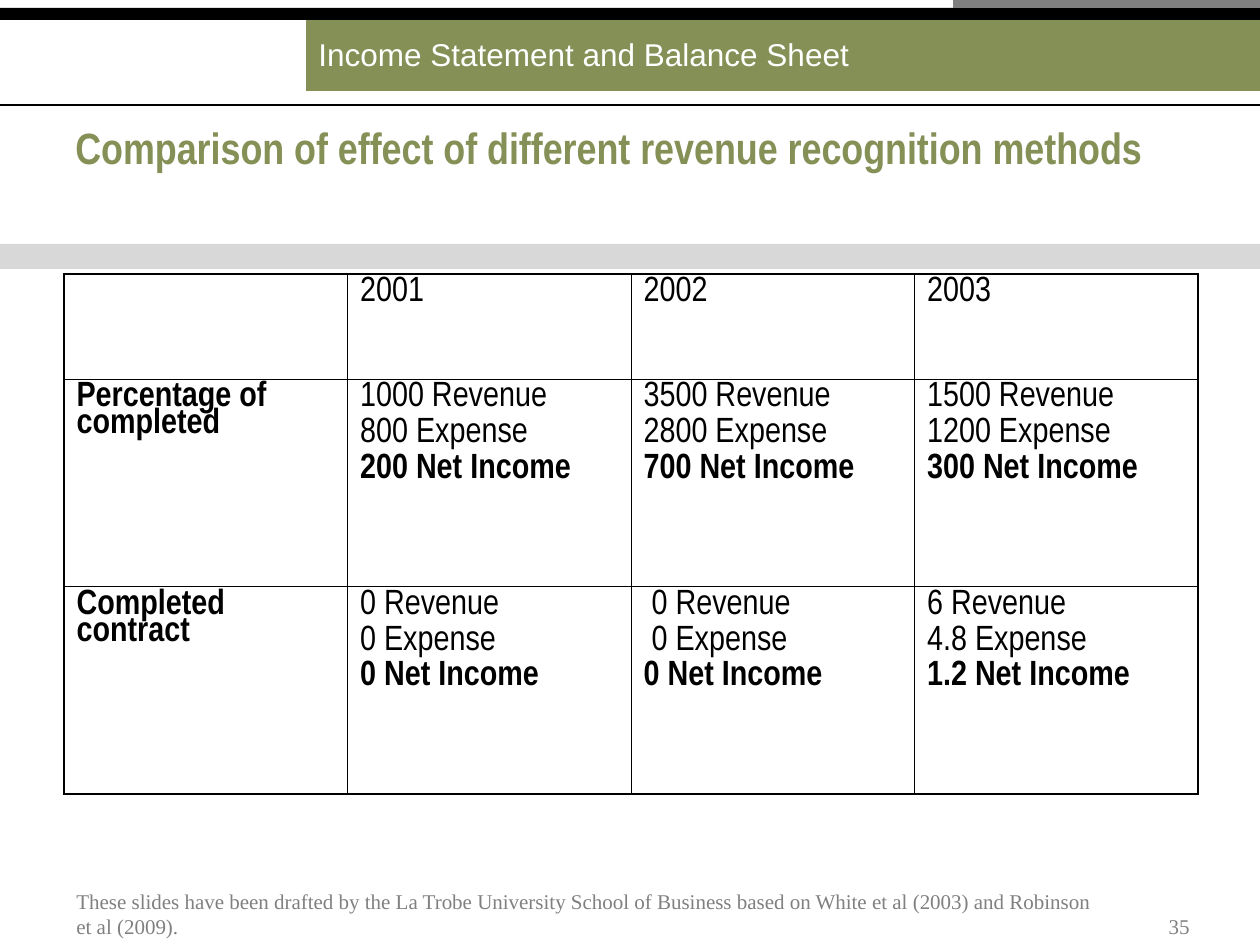
from dataclasses import dataclass

from lxml import etree
from pptx import Presentation
from pptx import util as u
from pptx.dml.color import RGBColor
from pptx.enum import shapes, text
from pptx.oxml import ns


@dataclass(frozen=True)
class Theme:
    olive: str = "849056"
    grey: str = "808080"
    black: str = "000000"
    white: str = "FFFFFF"
    sans: str = "Arial"
    narrow: str = "Arial Narrow"
    serif: str = "Times New Roman"
    title: int = 25
    table: int = 20
    section: int = 18
    footer: int = 12
    outer: float = 1.08
    inner: float = 0.45


THEME = Theme()
YEARS = ["2001", "2002", "2003"]
METHODS = [
    ("Percentage of completed", [
        ["1000 Revenue", "800 Expense", "200 Net Income"],
        ["3500 Revenue", "2800 Expense", "700 Net Income"],
        ["1500 Revenue", "1200 Expense", "300 Net Income"],
    ]),
    ("Completed contract", [
        ["0 Revenue", "0 Expense", "0 Net Income"],
        [" 0 Revenue", " 0 Expense", "0 Net Income"],
        ["6 Revenue", "4.8 Expense", "1.2 Net Income"],
    ]),
]


def px(value):
    return u.Emu(round(value * 914400 / 126))


def write(frame, lines, *, font, size, color, bold=(), align=None,
          anchor=text.MSO_ANCHOR.TOP, wrap=True, spacing=None, gap=0):
    frame.word_wrap = wrap
    frame.vertical_anchor = anchor
    for index, line in enumerate(lines):
        paragraph = frame.paragraphs[0] if index == 0 else frame.add_paragraph()
        paragraph.alignment = align
        paragraph.line_spacing = spacing
        if index:
            paragraph.space_before = u.Pt(gap)
        run = paragraph.add_run()
        run.text = line
        run.font.name = font
        run.font.size = u.Pt(size)
        run.font.bold = index in bold
        run.font.color.rgb = RGBColor.from_string(color)


def add_band(slide, box, color, opacity=100):
    band = slide.shapes.add_shape(shapes.MSO_SHAPE.RECTANGLE, *map(px, box))
    band.shadow.inherit = False
    band.line.fill.background()
    band.fill.solid()
    band.fill.fore_color.rgb = RGBColor.from_string(color)
    if opacity < 100:
        rgb = band.fill._xPr.find(".//" + ns.qn("a:srgbClr"))
        etree.SubElement(rgb, ns.qn("a:alpha"), val=str(opacity * 1000))
    return band


def add_rule(slide, start, end, y, color, weight):
    rule = slide.shapes.add_connector(
        shapes.MSO_CONNECTOR.STRAIGHT, px(start), px(y), px(end), px(y))
    rule.line.color.rgb = RGBColor.from_string(color)
    rule.line.width = u.Pt(weight)
    etree.SubElement(rule._element.spPr, ns.qn("a:effectLst"))


def add_text(slide, box, line, **style):
    frame = slide.shapes.add_textbox(*map(px, box)).text_frame
    write(frame, [line], **style)


def add_header(slide, box):
    left, top, width, height = box
    right = left + width
    add_band(slide, (left, top + 244, width, 25), THEME.grey, 30)
    section = add_band(slide, (left + 306, top + 16, width - 306, 75), THEME.olive)
    write(section.text_frame, ["Income Statement and Balance Sheet"],
          font=THEME.sans, size=THEME.section, color=THEME.white, wrap=False,
          align=text.PP_ALIGN.LEFT, anchor=text.MSO_ANCHOR.MIDDLE)
    add_band(slide, (left, top + 8, width, 12), THEME.black)
    add_rule(slide, left + 953, right, top + 4, THEME.grey, 5)
    add_rule(slide, left, right, top + 105, THEME.black, 0.75)
    add_text(slide, (left + 63, top + 115, width - 126, 80),
             "Comparison of effect of different revenue recognition methods",
             font=THEME.narrow, size=THEME.title, color=THEME.olive, bold=(0,))


def set_border(cell, side, weight):
    line = etree.SubElement(cell._tc.get_or_add_tcPr(), ns.qn("a:ln" + side),
                            w=str(u.Pt(weight)))
    fill = etree.SubElement(line, ns.qn("a:solidFill"))
    etree.SubElement(fill, ns.qn("a:srgbClr"), val=THEME.black)


def add_comparison(slide, box):
    header = [[]] + [[year] for year in YEARS]
    grid = [header] + [[[name]] + results for name, results in METHODS]
    last_row, last_col = len(grid) - 1, len(header) - 1
    table = slide.shapes.add_table(len(grid), len(header), *map(px, box)).table
    table.first_row = table.horz_banding = False
    header_height = 105
    for index, row in enumerate(table.rows):
        row.height = px((box[3] - header_height) / last_row if index else header_height)
    for r, row in enumerate(grid):
        for c, lines in enumerate(row):
            cell = table.cell(r, c)
            edges = {"L": c == 0, "R": c == last_col, "T": r == 0, "B": r == last_row}
            for side, is_outer in edges.items():
                set_border(cell, side, THEME.outer if is_outer else THEME.inner)
            cell.fill.background()
            bold = (0,) if c == 0 else (2,)
            write(cell.text_frame, lines, font=THEME.narrow, size=THEME.table,
                  color=THEME.black, bold=bold, spacing=0.82, gap=5)


def add_footer(slide, box):
    left, top, width, height = box
    style = dict(font=THEME.serif, size=THEME.footer, color=THEME.grey,
                 anchor=text.MSO_ANCHOR.BOTTOM)
    add_text(slide, (left, top, 1042, height),
             "These slides have been drafted by the La Trobe University School of "
             "Business based on White et al (2003) and Robinson et al (2009).", **style)
    add_text(slide, (left + width - 76, top + height - 45, 76, 45), "35",
             align=text.PP_ALIGN.RIGHT, **style)


def main():
    deck = Presentation()
    deck.slide_width, deck.slide_height = px(1260), px(945)
    slide = deck.slides.add_slide(deck.slide_layouts[6])
    add_header(slide, (0, 0, 1260, 269))
    add_comparison(slide, (64, 274, 1134, 520))
    add_footer(slide, (64, 869, 1138, 76))
    deck.save("out.pptx")


if __name__ == "__main__":
    main()
